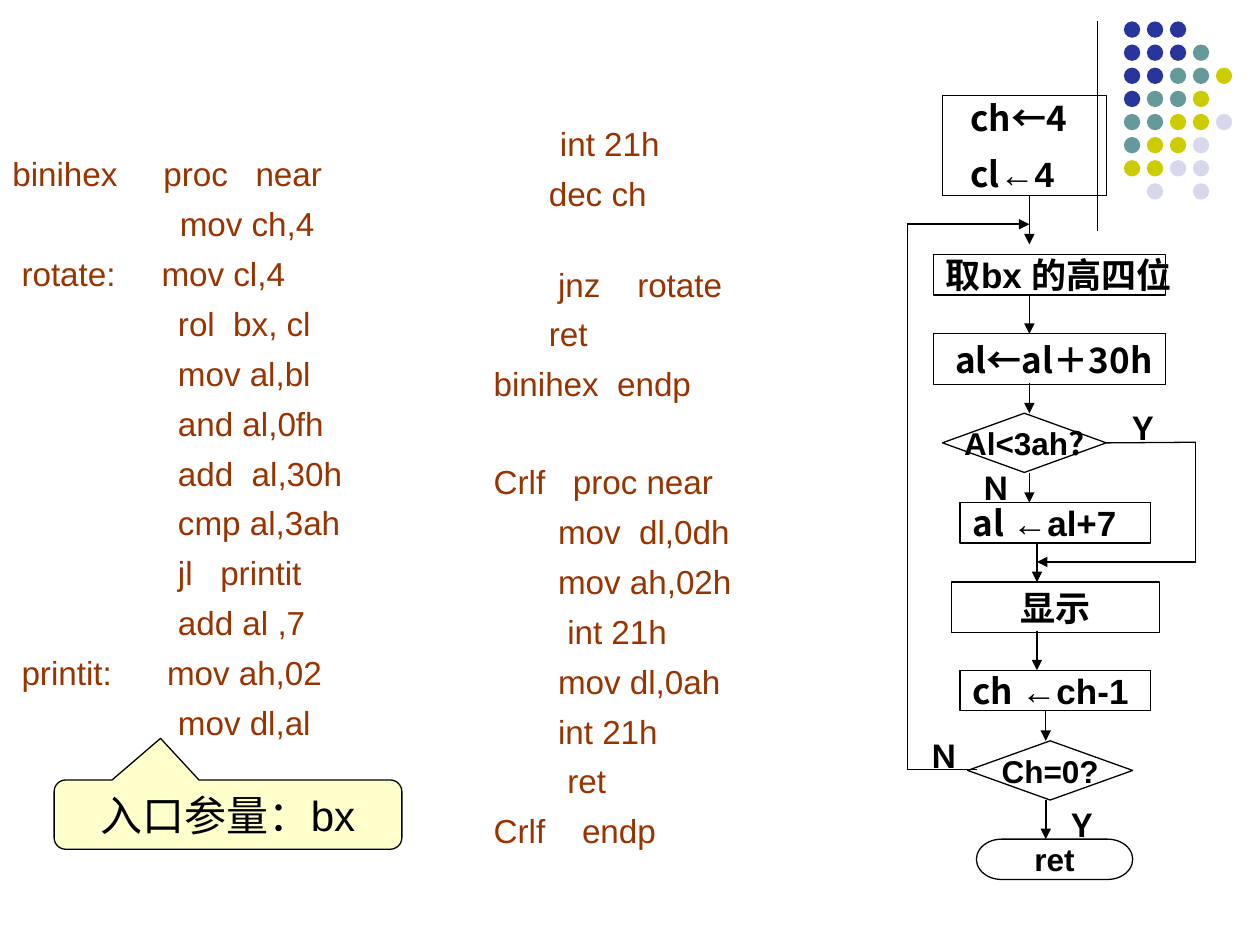
from lxml import etree
from pptx import Presentation
from pptx.dml.color import RGBColor
from pptx.enum import shapes, text
from pptx.oxml import ns
from pptx.util import Inches, Pt

BLACK = RGBColor(0x00, 0x00, 0x00)
RUST = RGBColor(0x99, 0x33, 0x00)
CREAM = RGBColor(0xFF, 0xFF, 0xCC)
NAVY = RGBColor(0x27, 0x35, 0x9D)
TEAL = RGBColor(0x66, 0x99, 0x99)
OLIVE = RGBColor(0xCC, 0xCC, 0x00)
LILAC = RGBColor(0xD8, 0xD8, 0xEC)
ARIAL = "Arial"
NOTO = "Noto Sans CJK SC"
LEFT = text.PP_ALIGN.LEFT
CENTER = text.PP_ALIGN.CENTER
TOP = text.MSO_ANCHOR.TOP
MIDDLE = text.MSO_ANCHOR.MIDDLE
FORM = shapes.MSO_SHAPE

deck = Presentation()
deck.slide_width, deck.slide_height = Inches(10), Inches(7.5)
slide = deck.slides.add_slide(deck.slide_layouts[6])


def write(holder, lines, size=20, color=BLACK, bold=True, align=LEFT, anchor=MIDDLE,
          wrap=False, left=0.1, top=0.05, hanging=0, gaps=None, gap=0):
    frame = holder.text_frame
    frame.word_wrap = wrap
    frame.vertical_anchor = anchor
    frame.margin_left, frame.margin_top = Inches(left), Inches(top)
    for row, runs in enumerate(lines):
        paragraph = frame.paragraphs[0] if row == 0 else frame.add_paragraph()
        paragraph.alignment = align
        if hanging:
            properties = paragraph._p.get_or_add_pPr()
            properties.set("marL", str(Inches(hanging)))
            properties.set("indent", str(-Inches(hanging)))
        if row:
            paragraph.space_before = Pt((gaps or {}).get(row, gap))
        for words, face in runs:
            run = paragraph.add_run()
            run.text = words
            run.font.name, run.font.size, run.font.bold = face, Pt(size), bold
            run.font.color.rgb = color
            east = etree.SubElement(run._r.get_or_add_rPr(), ns.qn("a:ea"))
            east.set("typeface", face)


def connect(x1, y1, x2, y2, width=0.75, arrow=False):
    link = slide.shapes.add_connector(shapes.MSO_CONNECTOR.STRAIGHT,
                                      Inches(x1), Inches(y1), Inches(x2), Inches(y2))
    link.line.color.rgb = BLACK
    link.line.width = Pt(width)
    if arrow:
        tail = etree.SubElement(link.line._get_or_add_ln(), ns.qn("a:tailEnd"))
        tail.set("type", "triangle")
    etree.SubElement(link._element.spPr, ns.qn("a:effectLst"))
    return link


connect(8.71, 0.17, 8.71, 1.83)

dot_colors = {"N": NAVY, "T": TEAL, "O": OLIVE, "L": LILAC}
dot_rows = ["NNN", "NNNT", "NNTTO", "NTTO", "TTOOL", "TOOL", "OOLL", " L L"]
for row, letters in enumerate(dot_rows):
    for column, letter in enumerate(letters):
        if letter in dot_colors:
            dot = slide.shapes.add_shape(
                FORM.OVAL, Inches(8.92 + column * 0.1825), Inches(0.17 + row * 0.1835),
                Inches(0.13), Inches(0.13))
            dot.shadow.inherit = False
            dot.fill.solid()
            dot.fill.fore_color.rgb = dot_colors[letter]
            dot.line.fill.background()

binihex_code = [
    "binihex     proc   near",
    "\t             mov ch,4",
    " rotate:     mov cl,4",
    "                  rol  bx, cl",
    "                  mov al,bl",
    "                  and al,0fh",
    "                  add  al,30h",
    "                  cmp al,3ah",
    "                  jl   printit",
    "                  add al ,7",
    " printit:      mov ah,02",
    "                  mov dl,al",
]
crlf_code = [
    "\t  int 21h",
    "      dec ch",
    "       jnz    rotate",
    "      ret",
    "binihex  endp",
    "Crlf   proc near",
    "       mov  dl,0dh",
    "       mov ah,02h",
    "        int 21h",
    "       mov dl,0ah",
    "       int 21h",
    "        ret",
    "Crlf    endp",
]
for x, y, width, height, code, gaps in [
    (0, 1.15, 3.5, 5.75, binihex_code, {}),
    (3.82, 0.91, 3.07, 6.06, crlf_code, {2: 29, 5: 33.2}),
]:
    listing = slide.shapes.add_textbox(Inches(x), Inches(y), Inches(width), Inches(height))
    write(listing, [[(line, ARIAL)] for line in code], size=19, color=RUST, bold=False,
          anchor=TOP, wrap=True, top=0.07, hanging=0.38, gaps=gaps, gap=5.7)

entry = slide.shapes.add_shape(FORM.ROUNDED_RECTANGULAR_CALLOUT, Inches(0.43), Inches(6.19),
                               Inches(2.76), Inches(0.55))
for index, value in enumerate([-0.194, -1.101, 0.167]):
    entry.adjustments[index] = value
entry.shadow.inherit = False
entry.fill.solid()
entry.fill.fore_color.rgb = CREAM
entry.line.color.rgb = BLACK
entry.line.width = Pt(0.75)
write(entry, [[("入口参量：bx", ARIAL)]], size=24, bold=False, align=CENTER,
      anchor=TOP, wrap=True)

PROCESS, DECISION = FORM.FLOWCHART_PROCESS, FORM.FLOWCHART_DECISION
steps = {}
for key, form, x, y, width, height, lines, style in [
    ("init", PROCESS, 7.48, 0.76, 1.3, 0.79,
     [[("ch←4", NOTO)], [("cl", NOTO), ("←4", ARIAL)]], {"left": 0.22, "gap": 7.5}),
    ("nibble", PROCESS, 7.41, 2.02, 1.84, 0.32, [[("取bx 的高四位", ARIAL)]], {}),
    ("ascii", PROCESS, 7.41, 2.65, 1.84, 0.4, [[("al←al＋30h", NOTO)]], {"left": 0.17}),
    ("digit", DECISION, 7.48, 3.28, 1.3, 0.47, [[("Al<3ah", ARIAL), ("?", NOTO)]],
     {"size": 18, "align": CENTER}),
    ("letter", PROCESS, 7.62, 3.99, 1.51, 0.32, [[("al ", NOTO), ("←al+7", ARIAL)]], {}),
    ("show", PROCESS, 7.55, 4.62, 1.65, 0.4, [[("显示", ARIAL)]], {"align": CENTER}),
    ("count", PROCESS, 7.62, 5.32, 1.51, 0.32, [[("ch ", NOTO), ("←ch-1", ARIAL)]], {}),
    ("done", DECISION, 7.68, 5.88, 1.31, 0.47, [[("Ch=0?", ARIAL)]],
     {"size": 18, "align": CENTER}),
    ("ret", FORM.FLOWCHART_TERMINATOR, 7.75, 6.66, 1.24, 0.32, [[("ret", ARIAL)]],
     {"size": 18, "align": CENTER}),
]:
    step = slide.shapes.add_shape(form, Inches(x), Inches(y), Inches(width), Inches(height))
    step.shadow.inherit = False
    step.fill.background()
    step.line.color.rgb = BLACK
    step.line.width = Pt(0.75)
    write(step, lines, **style)
    steps[key] = step

for answer, x, y in [("Ｙ", 8.85, 3.2), ("Ｎ", 7.68, 3.67), ("Ｙ", 8.37, 6.35), ("Ｎ", 7.27, 5.8)]:
    branch = slide.shapes.add_textbox(Inches(x), Inches(y), Inches(0.34), Inches(0.4))
    write(branch, [[(answer, ARIAL)]], size=18, anchor=TOP, wrap=True)

skip = connect(8.78, 3.51, 9.49, 3.51)
skip.begin_connect(steps["digit"], 3)
connect(9.49, 3.51, 9.49, 4.46)
connect(9.49, 4.46, 8.23, 4.46, 1.25, True)
connect(7.75, 6.11, 7.2, 6.11)
connect(7.2, 6.11, 7.2, 1.78)
connect(7.2, 1.78, 8.17, 1.78, 1.25, True)
for x, start, end, width in [
    (8.17, 1.55, 1.94, 0.75), (8.17, 2.33, 2.65, 0.75), (8.17, 3.04, 3.28, 0.75),
    (8.17, 3.75, 3.99, 0.75), (8.23, 4.3, 4.62, 1.25), (8.23, 5.01, 5.32, 0.75),
    (8.3, 5.64, 5.88, 0.75), (8.3, 6.35, 6.66, 1.25),
]:
    connect(x, start, x, end, width, True)

deck.save("out.pptx")
